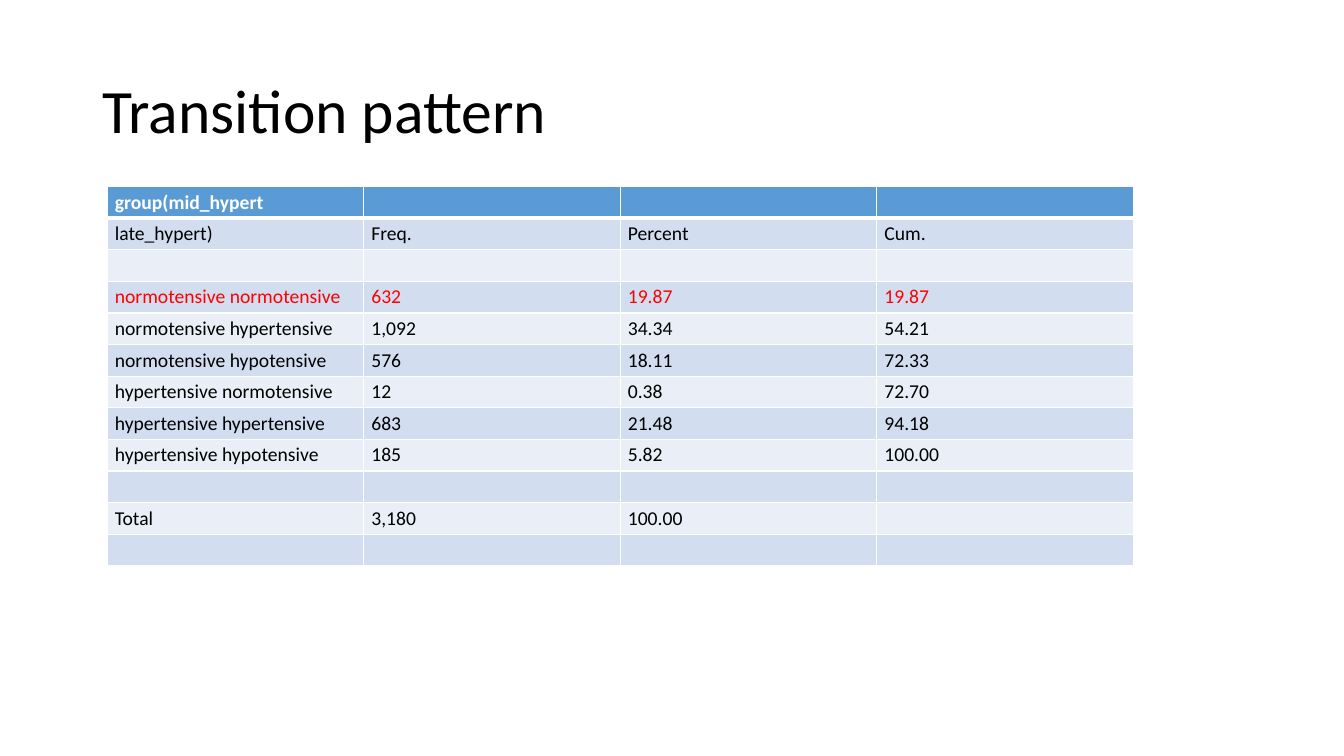
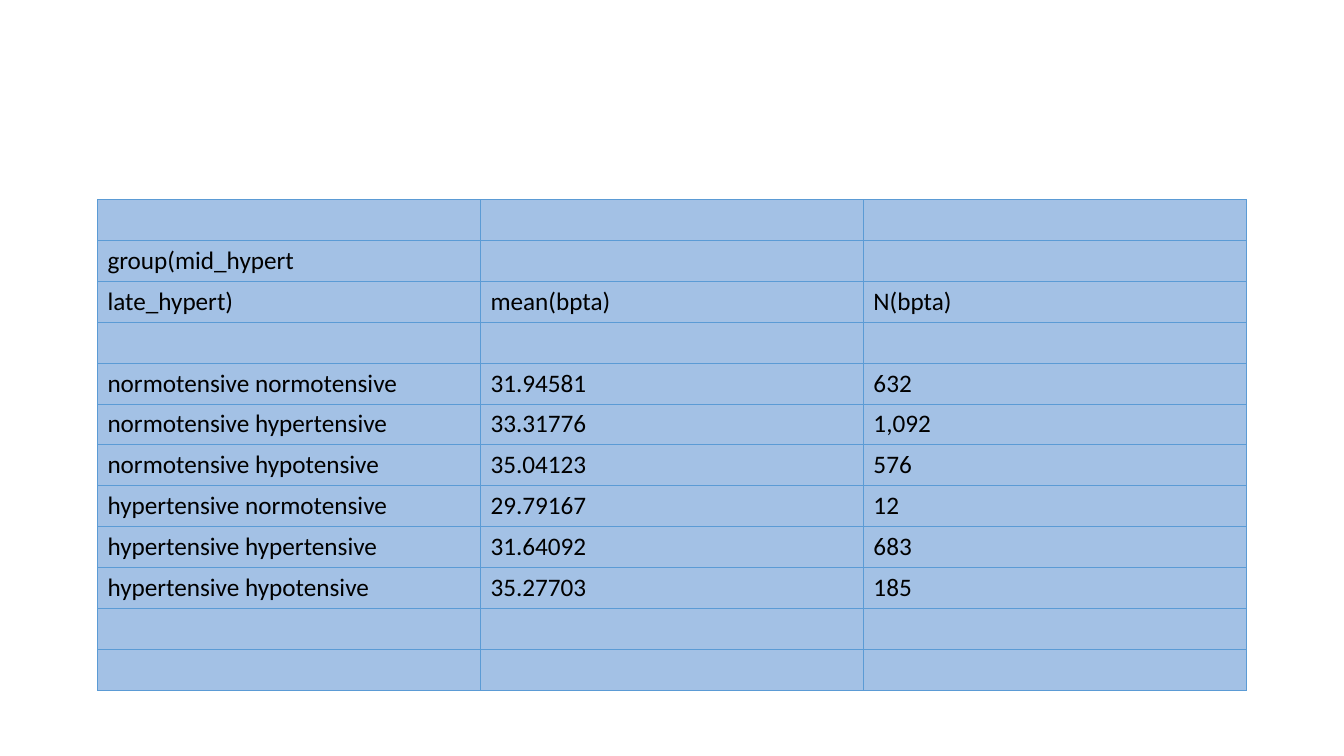
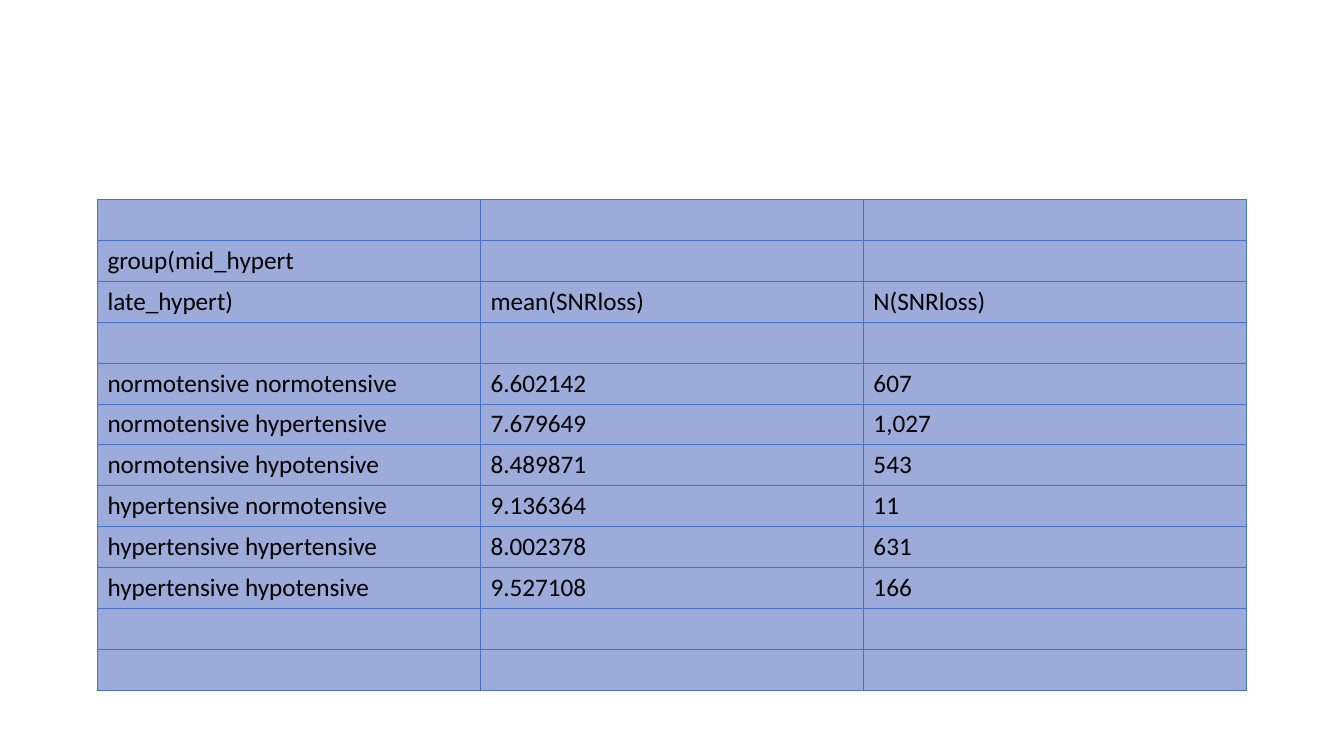
from collections import namedtuple

from lxml import etree
from pptx import Presentation
from pptx.dml.color import RGBColor
from pptx.enum import text
from pptx.oxml import ns
from pptx.util import Pt

Box = namedtuple("Box", "left top width height")
TableStyle = namedtuple("TableStyle", "size side_inset end_inset line line_width")

FONT = "Calibri"
BLACK = RGBColor(0x00, 0x00, 0x00)
WHITE = RGBColor(0xFF, 0xFF, 0xFF)
RED = RGBColor(0xFF, 0x00, 0x00)
BLUE = RGBColor(0x5B, 0x9B, 0xD5)
BAND_DARK = RGBColor(0xD2, 0xDE, 0xEF)
BAND_LIGHT = RGBColor(0xEA, 0xEF, 0xF7)
SKY = RGBColor(0xA3, 0xC1, 0xE5)
INDIGO = RGBColor(0x44, 0x72, 0xC4)
PERIWINKLE = RGBColor(0x9C, 0xAB, 0xD9)

TITLE_ONLY, BLANK = 5, 6
TITLE_BOX = Box(66, 28.8, 828, 104.4)
FREQUENCY_BOX = Box(76.5, 133.3, 733, 267.1)
MEANS_BOX = Box(69.6, 142.5, 820.8, 344.9)

GROUPS = [f"{mid} {late}" for mid in ("normotensive", "hypertensive")
          for late in ("normotensive", "hypertensive", "hypotensive")]
FREQUENCIES = [
    ("632", "19.87", "19.87"),
    ("1,092", "34.34", "54.21"),
    ("576", "18.11", "72.33"),
    ("12", "0.38", "72.70"),
    ("683", "21.48", "94.18"),
    ("185", "5.82", "100.00"),
]
BPTA = [("31.94581", "632"), ("33.31776", "1,092"), ("35.04123", "576"),
        ("29.79167", "12"), ("31.64092", "683"), ("35.27703", "185")]
SNR_LOSS = [("6.602142", "607"), ("7.679649", "1,027"), ("8.489871", "543"),
            ("9.136364", "11"), ("8.002378", "631"), ("9.527108", "166")]


def format_span(span, size, color, bold=False):
    """Give a run its font, size, colour and weight."""
    span.font.name = FONT
    span.font.size = Pt(size)
    span.font.color.rgb = color
    span.font.bold = bold


def add_title(page, box, words):
    """Place and fill the title placeholder."""
    title = page.shapes.title
    title.left, title.top, title.width, title.height = map(Pt, box)
    frame = title.text_frame
    frame.word_wrap = True
    frame.vertical_anchor = text.MSO_ANCHOR.MIDDLE
    para = frame.paragraphs[0]
    para.alignment = text.PP_ALIGN.LEFT
    para.line_spacing = 0.9
    span = para.add_run()
    span.text = words
    format_span(span, 44, BLACK)


def set_borders(cell, color, widths):
    """Draw the left, right, top and bottom borders of a cell."""
    properties = cell._tc.get_or_add_tcPr()
    for position, (side, width) in enumerate(zip("LRTB", widths)):
        line = etree.Element(ns.qn(f"a:ln{side}"), w=str(Pt(width)))
        fill = etree.SubElement(line, ns.qn("a:solidFill"))
        etree.SubElement(fill, ns.qn("a:srgbClr"), val=str(color))
        properties.insert(position, line)


def fill_cell(cell, words, style, fill, color, bold):
    """Set the fill, margins and text of a cell."""
    cell.fill.solid()
    cell.fill.fore_color.rgb = fill
    cell.vertical_anchor = text.MSO_ANCHOR.MIDDLE
    cell.margin_left = cell.margin_right = Pt(style.side_inset)
    cell.margin_top = cell.margin_bottom = Pt(style.end_inset)
    para = cell.text_frame.paragraphs[0]
    if words:
        span = para.add_run()
        span.text = words
        format_span(span, style.size, color, bold)
    else:
        etree.SubElement(para._p, ns.qn("a:endParaRPr"), sz=str(style.size * 100))


def add_grid(page, box, rows, style, fills, colors=None, header=False):
    """Draw a table of equal rows and columns, with one fill for each row."""
    colors = colors or {}
    columns = max(map(len, rows))
    table = page.shapes.add_table(len(rows), columns, *map(Pt, box)).table
    table.first_row = header
    table.horz_banding = False
    for column in table.columns:
        column.width = Pt(box.width / columns)
    for number, (row, fill) in enumerate(zip(rows, fills)):
        table.rows[number].height = Pt(box.height / len(rows))
        top = 3 if header and number == 1 else style.line_width
        bottom = 3 if header and number == 0 else style.line_width
        for index in range(columns):
            cell = table.cell(number, index)
            words = row[index] if index < len(row) else ""
            fill_cell(cell, words, style, fill, colors.get(number, BLACK),
                      header and number == 0)
            set_borders(cell, style.line,
                        (style.line_width, style.line_width, top, bottom))


def group_rows(headings, values):
    """Return the heading rows and one row for each group."""
    return [("group(mid_hypert",), ("late_hypert)", *headings), (),
            *((group, *value) for group, value in zip(GROUPS, values))]


def add_frequency_page(deck):
    """Add the titled slide with the banded frequency table."""
    page = deck.slides.add_slide(deck.slide_layouts[TITLE_ONLY])
    add_title(page, TITLE_BOX, "Transition pattern")
    rows = [*group_rows(("Freq.", "Percent", "Cum."), FREQUENCIES),
            (), ("Total", "3,180", "100.00"), ()]
    fills = [BLUE] + [BAND_DARK if number % 2 else BAND_LIGHT
                      for number in range(1, len(rows))]
    add_grid(page, FREQUENCY_BOX, rows, TableStyle(14, 5.5, 2.75, WHITE, 1),
             fills, {0: WHITE, 3: RED}, header=True)


def add_means_page(deck, measure, values, fill, line):
    """Add a slide with the means and counts of one measure."""
    page = deck.slides.add_slide(deck.slide_layouts[BLANK])
    headings = (f"mean({measure})", f"N({measure})")
    rows = [(), *group_rows(headings, values), (), ()]
    add_grid(page, MEANS_BOX, rows, TableStyle(18, 7.2, 3.6, line, 0.5),
             [fill] * len(rows))


def main():
    """Build and save the deck."""
    deck = Presentation()
    deck.slide_width, deck.slide_height = Pt(960), Pt(540)
    add_frequency_page(deck)
    add_means_page(deck, "bpta", BPTA, SKY, BLUE)
    add_means_page(deck, "SNRloss", SNR_LOSS, PERIWINKLE, INDIGO)
    deck.save("out.pptx")


main()
